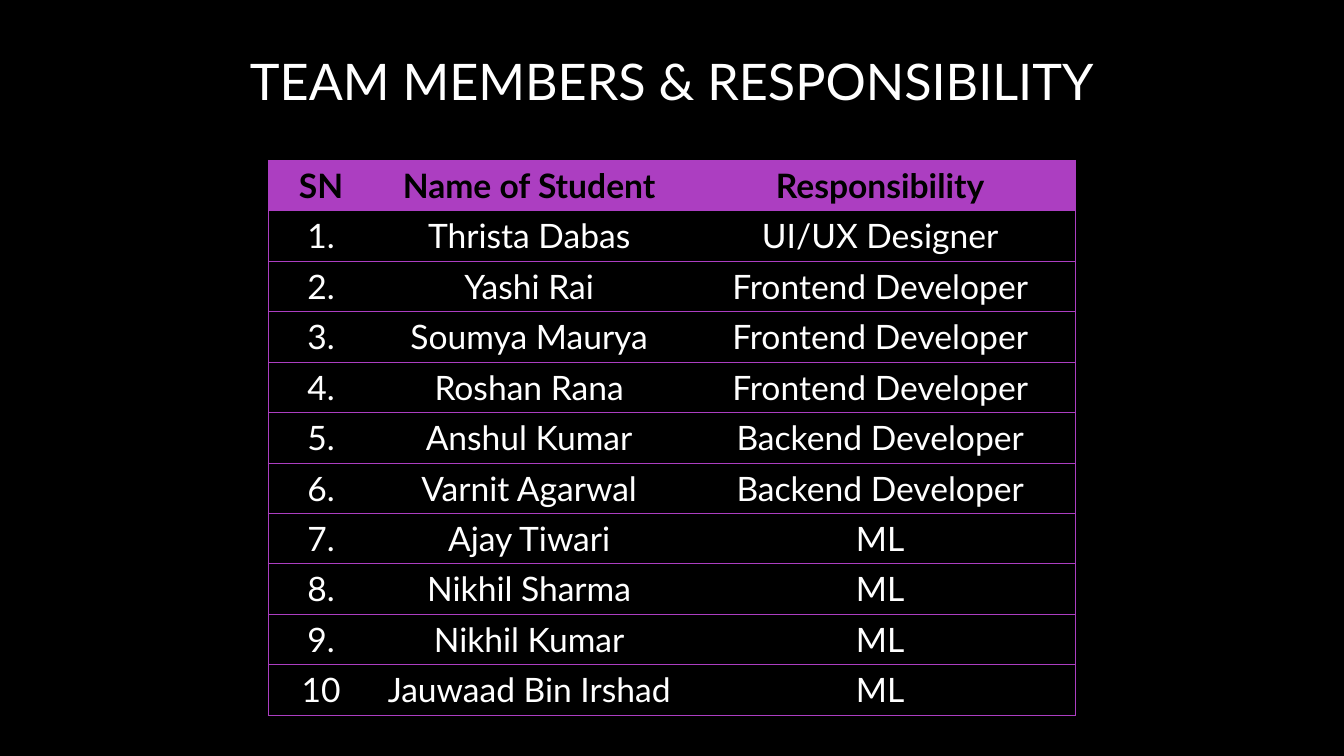
from lxml import etree
from pptx import Presentation
from pptx.dml.color import RGBColor
from pptx.enum import text
from pptx.oxml import ns
from pptx.util import Cm, Pt

BLACK = RGBColor(0x00, 0x00, 0x00)
WHITE = RGBColor(0xFF, 0xFF, 0xFF)
PURPLE = RGBColor(0xAC, 0x3E, 0xC1)
FONT = "Lato"

HEADINGS = ("SN", "Name of Student", "Responsibility")
MEMBERS = (
    ("1.", "Thrista Dabas", "UI/UX Designer"),
    ("2.", "Yashi Rai", "Frontend Developer"),
    ("3.", "Soumya Maurya", "Frontend Developer"),
    ("4.", "Roshan Rana", "Frontend Developer"),
    ("5.", "Anshul Kumar", "Backend Developer"),
    ("6.", "Varnit Agarwal", "Backend Developer"),
    ("7.", "Ajay Tiwari", "ML"),
    ("8.", "Nikhil Sharma", "ML"),
    ("9.", "Nikhil Kumar", "ML"),
    ("10", "Jauwaad Bin Irshad", "ML"),
)
COLUMN_WIDTHS = (Cm(2.66), Cm(7.83), Cm(9.86))
ROW_HEIGHT = Cm(1.27)


def write_centred(text_frame, wording, size, color, bold=False):
    paragraph = text_frame.paragraphs[0]
    paragraph.text = wording
    paragraph.alignment = text.PP_ALIGN.CENTER
    font = paragraph.font
    font.name, font.size, font.bold = FONT, Pt(size), bold
    font.color.rgb = color


def set_borders(cell, drawn_sides):
    """Draw the given sides (from "LRTB") in purple and hide the others."""
    properties = cell._tc.get_or_add_tcPr()
    for position, side in enumerate("LRTB"):
        line = etree.Element(ns.qn(f"a:ln{side}"), w=str(Pt(0.75)))
        if side in drawn_sides:
            fill = etree.SubElement(line, ns.qn("a:solidFill"))
            etree.SubElement(fill, ns.qn("a:srgbClr"), val=str(PURPLE))
        else:
            etree.SubElement(line, ns.qn("a:noFill"))
        properties.insert(position, line)


def add_title(slide, wording):
    title = slide.shapes.add_textbox(Cm(1.9), Cm(0), Cm(30.07), Cm(4.04))
    title.text_frame.word_wrap = True
    title.text_frame.vertical_anchor = text.MSO_ANCHOR.MIDDLE
    write_centred(title.text_frame, wording, 36, WHITE)


def add_member_table(slide):
    rows = (HEADINGS, *MEMBERS)
    table = slide.shapes.add_table(
        len(rows), len(HEADINGS), Cm(6.76), Cm(4.04),
        sum(COLUMN_WIDTHS), ROW_HEIGHT * len(rows)).table
    table.horz_banding = False
    for column, width in zip(table.columns, COLUMN_WIDTHS):
        column.width = width
    outer_sides = {0: "L", len(HEADINGS) - 1: "R"}
    for row_index, row in enumerate(rows):
        is_header = row_index == 0
        table.rows[row_index].height = ROW_HEIGHT
        for column_index, wording in enumerate(row):
            cell = table.cell(row_index, column_index)
            write_centred(cell.text_frame, wording, 24,
                          BLACK if is_header else WHITE, is_header)
            if is_header:
                cell.fill.solid()
                cell.fill.fore_color.rgb = PURPLE
            else:
                cell.fill.background()
            set_borders(cell, "TB" + outer_sides.get(column_index, ""))


def main():
    presentation = Presentation()
    presentation.slide_width, presentation.slide_height = Cm(33.87), Cm(19.05)
    slide = presentation.slides.add_slide(presentation.slide_layouts[6])
    slide.background.fill.solid()
    slide.background.fill.fore_color.rgb = BLACK
    add_title(slide, "TEAM MEMBERS & RESPONSIBILITY")
    add_member_table(slide)
    presentation.save("out.pptx")


if __name__ == "__main__":
    main()
